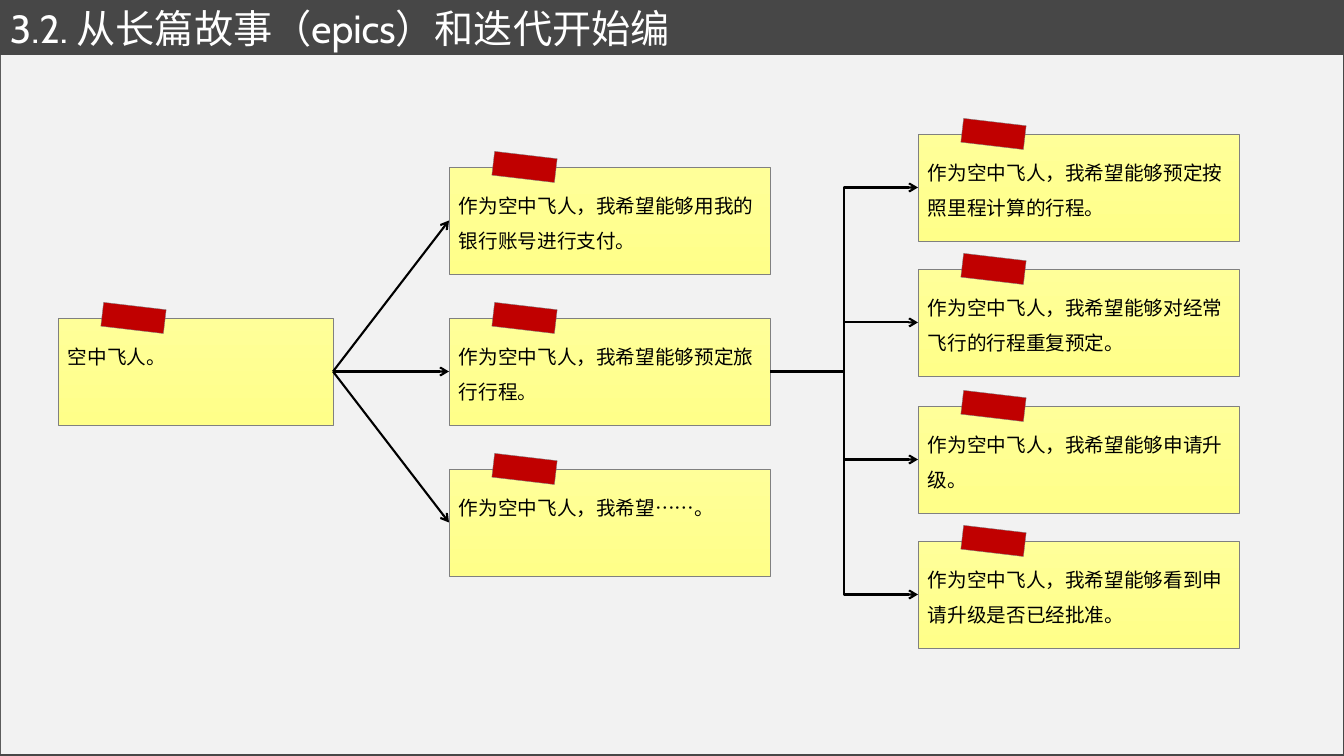
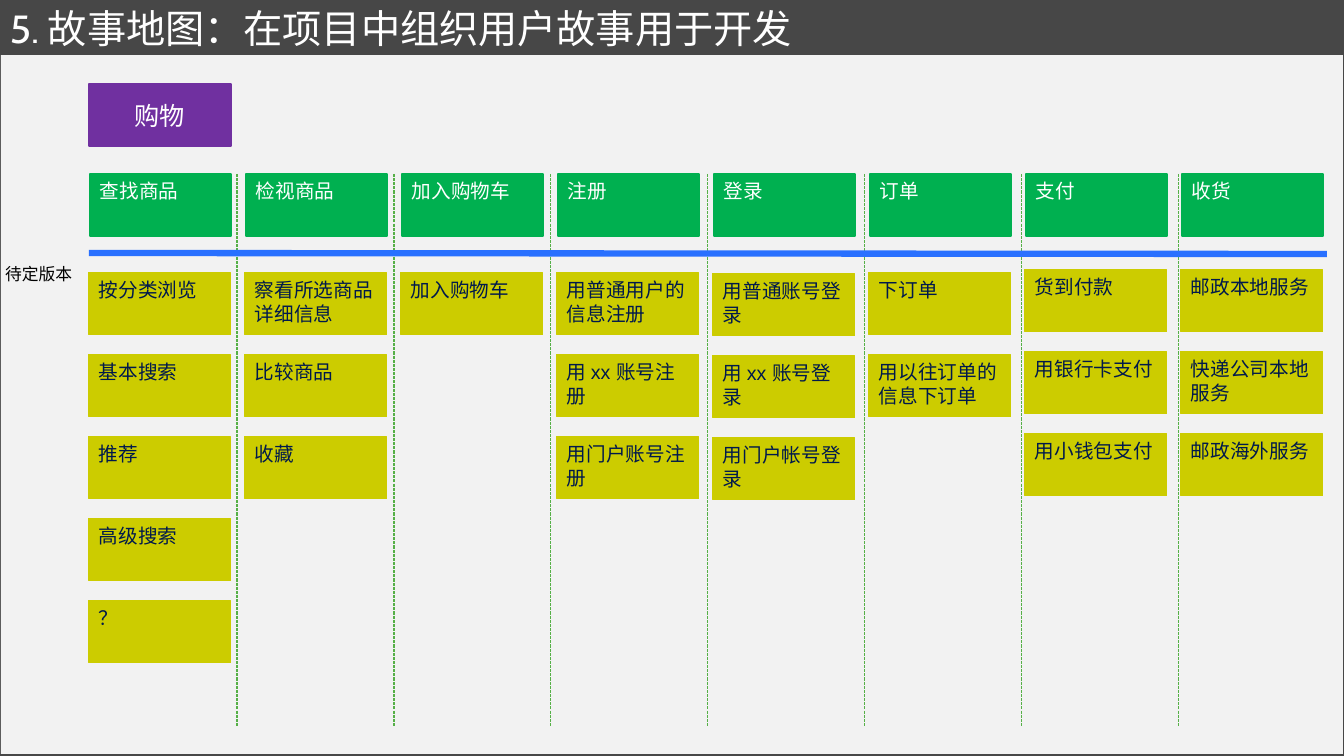
"""Build two slides on user stories: splitting epics and a story map."""
from dataclasses import dataclass

from lxml import etree
from pptx import Presentation
from pptx.dml.color import RGBColor
from pptx.enum.dml import MSO_LINE
from pptx.enum.shapes import MSO_CONNECTOR, MSO_SHAPE
from pptx.enum.text import MSO_ANCHOR, PP_ALIGN
from pptx.oxml.ns import qn
from pptx.shapes.autoshape import Shape
from pptx.shapes.connector import Connector
from pptx.slide import Slide
from pptx.util import Emu, Pt

SCALE = 914400 / 100.8
WIDE, HIGH = 1344, 756
RECT = MSO_SHAPE.RECTANGLE
LINE, ELBOW = MSO_CONNECTOR.STRAIGHT, MSO_CONNECTOR.ELBOW
DASH = MSO_LINE.SQUARE_DOT
TOP, MID = MSO_ANCHOR.TOP, MSO_ANCHOR.MIDDLE
LEFT, MIDDLE = PP_ALIGN.LEFT, PP_ALIGN.CENTER
DARK, PALE, WHITE, BLACK = "474747", "F2F2F2", "FFFFFF", "000000"
GREEN, PURPLE, OLIVE, GREY = "00B050", "7030A0", "CCCC00", "808080"
LEFT_SITE, RIGHT_SITE = 1, 3


@dataclass(frozen=True)
class Style:
    """Look of a box and of its text."""
    fill: str
    line: str = ""
    width: float = 0.75
    ink: str = WHITE
    size: int = 14
    font: str = "Arial"
    anchor: MSO_ANCHOR = TOP
    align: PP_ALIGN = LEFT
    inset: int = 5
    space: float = 1.0
    fade: str = ""


@dataclass(frozen=True)
class Note:
    """Sticky note with a strip of tape."""
    x: int
    y: int
    w: int
    text: str


@dataclass(frozen=True)
class Column:
    """Step of the story map with its story cards."""
    head: str
    top: int
    cards: tuple[str, ...]


PANEL = Style(PALE)
TITLE = Style(DARK, DARK, size=28, font="Cabin", anchor=MID)
PAPER = Style("FFFF99", GREY, 0.25, BLACK, inset=15, space=1.5, fade="FFFF89")
TAPE = Style("C00000", GREY, 0.25)
GOAL = Style(PURPLE, PURPLE, 2, size=18, anchor=MID, align=MIDDLE)
STEP = Style(GREEN, GREEN, 2)
CARD = Style(OLIVE, OLIVE, ink="00194C")

ROOT = Note(58, 318, 275, "空中飞人。")
EPICS = [Note(449, 167 + 151 * i, 321, text) for i, text in enumerate((
    "作为空中飞人，我希望能够用我的银行账号进行支付。",
    "作为空中飞人，我希望能够预定旅行行程。",
    "作为空中飞人，我希望……。"))]
STORIES = [Note(918, y, 321, text) for y, text in (
    (134, "作为空中飞人，我希望能够预定按照里程计算的行程。"),
    (269, "作为空中飞人，我希望能够对经常飞行的行程重复预定。"),
    (406, "作为空中飞人，我希望能够申请升级。"),
    (541, "作为空中飞人，我希望能够看到申请升级是否已经批准。"))]
COLUMNS = (
    Column("查找商品", 273, ("按分类浏览", "基本搜索", "推荐", "高级搜索", "？")),
    Column("检视商品", 273, ("察看所选商品详细信息", "比较商品", "收藏")),
    Column("加入购物车", 273, ("加入购物车",)),
    Column("注册", 273, ("用普通用户的信息注册", "用 xx 账号注册", "用门户账号注册")),
    Column("登录", 274, ("用普通账号登录", "用 xx 账号登录", "用门户帐号登录")),
    Column("订单", 273, ("下订单", "用以往订单的信息下订单")),
    Column("支付", 270, ("货到付款", "用银行卡支付", "用小钱包支付")),
    Column("收货", 270, ("邮政本地服务", "快递公司本地服务", "邮政海外服务")),
)


def px(n: int) -> Emu:
    """Turn px into EMU."""
    return Emu(round(n * SCALE))


def rgb(code: str) -> RGBColor:
    """Turn a hex string into a colour."""
    return RGBColor.from_string(code)


def write(shape: Shape, text: str, style: Style) -> None:
    """Set the text of a shape."""
    frame = shape.text_frame
    frame.word_wrap = True
    frame.vertical_anchor = style.anchor
    frame.margin_top = px(style.inset)
    frame.text = text
    para = frame.paragraphs[0]
    para.alignment = style.align
    para.line_spacing = style.space
    para.font.name = style.font
    para.font.size = Pt(style.size)
    para.font.color.rgb = rgb(style.ink)


def box(slide: Slide, x: int, y: int, w: int, h: int,
        style: Style, text: str = "") -> Shape:
    """Draw a filled rectangle."""
    shape = slide.shapes.add_shape(RECT, px(x), px(y), px(w), px(h))
    shape.shadow.inherit = False
    if style.fade:
        shape.fill.gradient()
        shape.fill.gradient_angle = 270
        for stop, code in zip(shape.fill.gradient_stops, (style.fill, style.fade)):
            stop.color.rgb = rgb(code)
    else:
        shape.fill.solid()
        shape.fill.fore_color.rgb = rgb(style.fill)
    if style.line:
        shape.line.color.rgb = rgb(style.line)
        shape.line.width = Pt(style.width)
    else:
        shape.line.fill.background()
    if text:
        write(shape, text, style)
    return shape


def rule(slide: Slide, start: tuple[int, int], end: tuple[int, int],
         code: str, width: float, kind: MSO_CONNECTOR = LINE) -> Connector:
    """Draw a line without a shadow."""
    line = slide.shapes.add_connector(kind, *map(px, start + end))
    line.line.color.rgb = rgb(code)
    line.line.width = Pt(width)
    etree.SubElement(line._element.spPr, qn("a:effectLst"))
    return line


def link(slide: Slide, kind: MSO_CONNECTOR, source: Shape, target: Shape) -> None:
    """Join two notes with an arrow."""
    line = rule(slide, (0, 0), (0, 0), BLACK, 1.5, kind)
    line.begin_connect(source, RIGHT_SITE)
    line.end_connect(target, LEFT_SITE)
    tip = etree.SubElement(line.line._get_or_add_ln(), qn("a:tailEnd"))
    tip.set("type", "arrow")


def stick(slide: Slide, note: Note) -> Shape:
    """Draw a note and its tape."""
    paper = box(slide, note.x, note.y, note.w, 107, PAPER, note.text)
    tape = box(slide, note.x + 44, note.y - 12, 63, 24, TAPE)
    tape.rotation = 6.7
    return paper


def start(deck: Presentation, title: str) -> Slide:
    """Add a slide with its panel and title band."""
    slide = deck.slides.add_slide(deck.slide_layouts[6])
    box(slide, 1, 55, WIDE - 2, 699, PANEL)
    box(slide, 0, 1, WIDE, 54, TITLE, title)
    return slide


def split(deck: Presentation) -> None:
    """Build the slide that splits an epic."""
    slide = start(deck, "3.2. 从长篇故事（epics）和迭代开始编")
    root = stick(slide, ROOT)
    epics = [stick(slide, note) for note in EPICS]
    for epic in epics:
        link(slide, LINE, root, epic)
    for note in STORIES:
        link(slide, ELBOW, epics[1], stick(slide, note))


def chart(deck: Presentation) -> None:
    """Build the story map slide."""
    slide = start(deck, "5. 故事地图：在项目中组织用户故事用于开发")
    box(slide, 89, 84, 142, 62, GOAL, "购物")
    for i, col in enumerate(COLUMNS):
        x = 90 + 156 * i
        box(slide, x, 174, 141, 62, STEP, col.head)
        for j, text in enumerate(col.cards):
            box(slide, x - 1, col.top + 82 * j, 142, 62, CARD, text)
    for i in range(len(COLUMNS) - 1):
        x = 237 + 157 * i
        edge = rule(slide, (x, 174), (x, 726), "56B047", 0.75)
        edge.line.dash_style = DASH
    rule(slide, (89, 253), (1327, 254), "2970FF", 4.5)
    label = slide.shapes.add_textbox(px(0), px(259), px(78), px(30))
    write(label, "待定版本", Style(PALE, ink=BLACK, size=12))
    frame = label.text_frame
    frame.word_wrap = False
    frame.margin_left = frame.margin_right = px(5)


def main() -> None:
    """Build and save the deck."""
    deck = Presentation()
    deck.slide_width, deck.slide_height = px(WIDE), px(HIGH)
    back = deck.slide_master.background.fill
    back.solid()
    back.fore_color.rgb = rgb(DARK)
    split(deck)
    chart(deck)
    deck.save("out.pptx")


if __name__ == "__main__":
    main()
